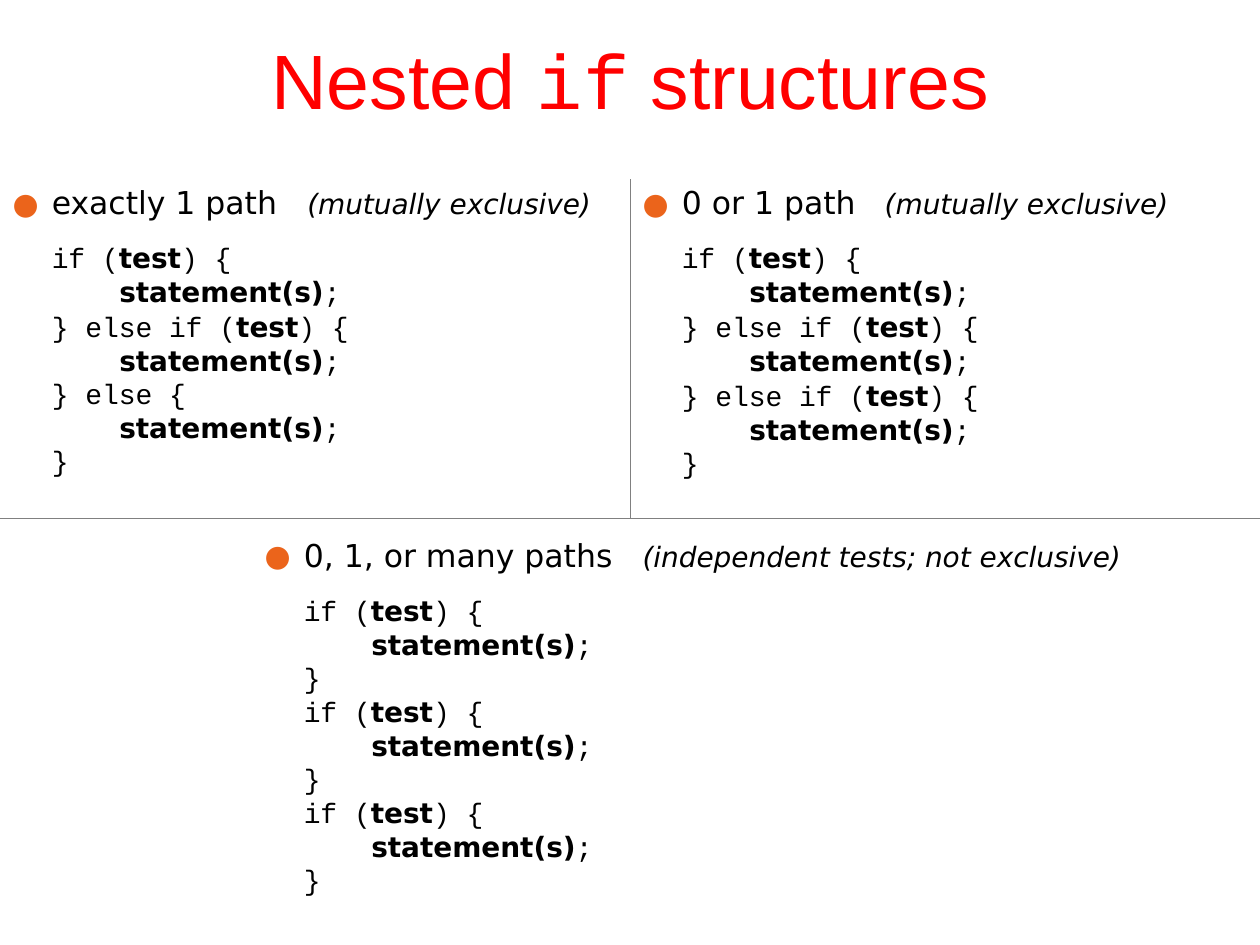
from dataclasses import dataclass

from lxml.etree import SubElement
from pptx import Presentation
from pptx.dml.color import RGBColor
from pptx.enum.text import MSO_ANCHOR, PP_ALIGN
from pptx.oxml import parse_xml
from pptx.oxml.ns import nsdecls, qn
from pptx.table import _Cell
from pptx.text.text import _Paragraph
from pptx.util import Cm, Pt

SANS, MONO, TITLE_FONT = "DejaVu Sans", "Courier New", "Arial"
BLACK, RED, ORANGE, GREY, WHITE = "000000", "FF0000", "EB641B", "808080", "FFFFFF"
HANGING = 0.79
CODE_INDENT = 1.36
STATEMENT = "statement(s)"
IF_BLOCK = ["if (test) {", "statement(s);"]
ELSE_IF_BLOCK = ["} else if (test) {", "statement(s);"]
ELSE_BLOCK = ["} else {", "statement(s);"]


@dataclass
class Panel:
    row: int
    col: int
    heading: str
    note: str
    note_tab: float
    code: list[str]
    borders: str
    left: float = 0
    top: float = 0.13


PANELS = [
    Panel(0, 0, "exactly 1 path", "(mutually exclusive)", 5.94,
          IF_BLOCK + ELSE_IF_BLOCK + ELSE_BLOCK + ["}"], "RB"),
    Panel(0, 1, "0 or 1 path", "(mutually exclusive)", 4.88,
          IF_BLOCK + ELSE_IF_BLOCK * 2 + ["}"], "LB"),
    Panel(1, 0, "0, 1, or many paths", "(independent tests; not exclusive)", 12.7,
          (IF_BLOCK + ["}"]) * 3, "T", left=5.08, top=0.41),
]


def rgb(color: str) -> RGBColor:
    return RGBColor.from_string(color)


def add_run(p: _Paragraph, text: str, size: float, font: str, color: str = BLACK,
            bold: bool = False, italic: bool = False) -> None:
    r = p.add_run()
    r.text = text
    r.font.size = Pt(size)
    r.font.name = font
    r.font.bold = bold
    r.font.italic = italic
    r.font.color.rgb = rgb(color)


def set_indent(p: _Paragraph, margin: float, first: float = 0) -> None:
    pPr = p._p.get_or_add_pPr()
    pPr.set("marL", str(Cm(margin)))
    pPr.set("indent", str(Cm(first)))


def add_heading(p: _Paragraph, panel: Panel) -> None:
    set_indent(p, panel.left + HANGING, -HANGING)
    pPr = p._p.get_or_add_pPr()
    SubElement(SubElement(pPr, qn("a:buClr")), qn("a:srgbClr"), val=ORANGE)
    SubElement(pPr, qn("a:buSzPct"), val="95000")
    SubElement(pPr, qn("a:buFont"), typeface=SANS)
    SubElement(pPr, qn("a:buChar"), char="●")
    tabs = SubElement(pPr, qn("a:tabLst"))
    SubElement(tabs, qn("a:tab"), pos=str(Cm(panel.note_tab)), algn="l")
    add_run(p, panel.heading + "\t", 18, SANS)
    add_run(p, panel.note, 16, SANS, italic=True)


def add_code_line(p: _Paragraph, line: str, left: float, before: float) -> None:
    nested = line.startswith(STATEMENT)
    set_indent(p, left + HANGING + (CODE_INDENT if nested else 0))
    p.line_spacing = 0.8
    p.space_before = Pt(before)
    head, slot, tail = line.partition(STATEMENT if nested else "test")
    for text, font, bold in ((head, MONO, False), (slot, SANS, True), (tail, MONO, False)):
        if text:
            add_run(p, text, 16, font, bold=bold)


def set_borders(cell: _Cell, sides: str) -> None:
    tcPr = cell._tc.get_or_add_tcPr()
    for i, side in enumerate("LRTB"):
        fill = (f'<a:solidFill><a:srgbClr val="{GREY}"/></a:solidFill>'
                if side in sides else "<a:noFill/>")
        tcPr.insert(i, parse_xml(
            f'<a:ln{side} {nsdecls("a")} w="{Pt(0.23)}">{fill}</a:ln{side}>'))


def fill_cell(cell: _Cell, panel: Panel) -> None:
    cell.margin_top = Cm(panel.top)
    tf = cell.text_frame
    add_heading(tf.paragraphs[0], panel)
    for i, line in enumerate(panel.code):
        add_code_line(tf.add_paragraph(), line, panel.left, 4 if i else 14)


def main() -> None:
    prs = Presentation()
    prs.slide_width, prs.slide_height = Cm(25.4), Cm(19.05)
    s = prs.slides.add_slide(prs.slide_layouts[5])

    title = s.shapes.title
    title.left, title.top, title.width, title.height = Cm(1.91), Cm(0), Cm(21.59), Cm(3.18)
    title.text_frame.vertical_anchor = MSO_ANCHOR.MIDDLE
    p = title.text_frame.paragraphs[0]
    p.alignment = PP_ALIGN.CENTER
    for text, font in (("Nested ", TITLE_FONT), ("if", MONO), (" structures", TITLE_FONT)):
        add_run(p, text, 44, font, RED)

    table = s.shapes.add_table(2, 2, Cm(0), Cm(3.61), Cm(25.4), Cm(14.65)).table
    table.first_row = table.horz_banding = False
    table.rows[0].height, table.rows[1].height = Cm(6.83), Cm(7.82)
    table.cell(1, 0).merge(table.cell(1, 1))
    for cell in table.iter_cells():
        cell.fill.solid()
        cell.fill.fore_color.rgb = rgb(WHITE)
    for panel in PANELS:
        cell = table.cell(panel.row, panel.col)
        fill_cell(cell, panel)
        set_borders(cell, panel.borders)
    set_borders(table.cell(1, 1), "T")

    prs.save("out.pptx")


if __name__ == "__main__":
    main()
